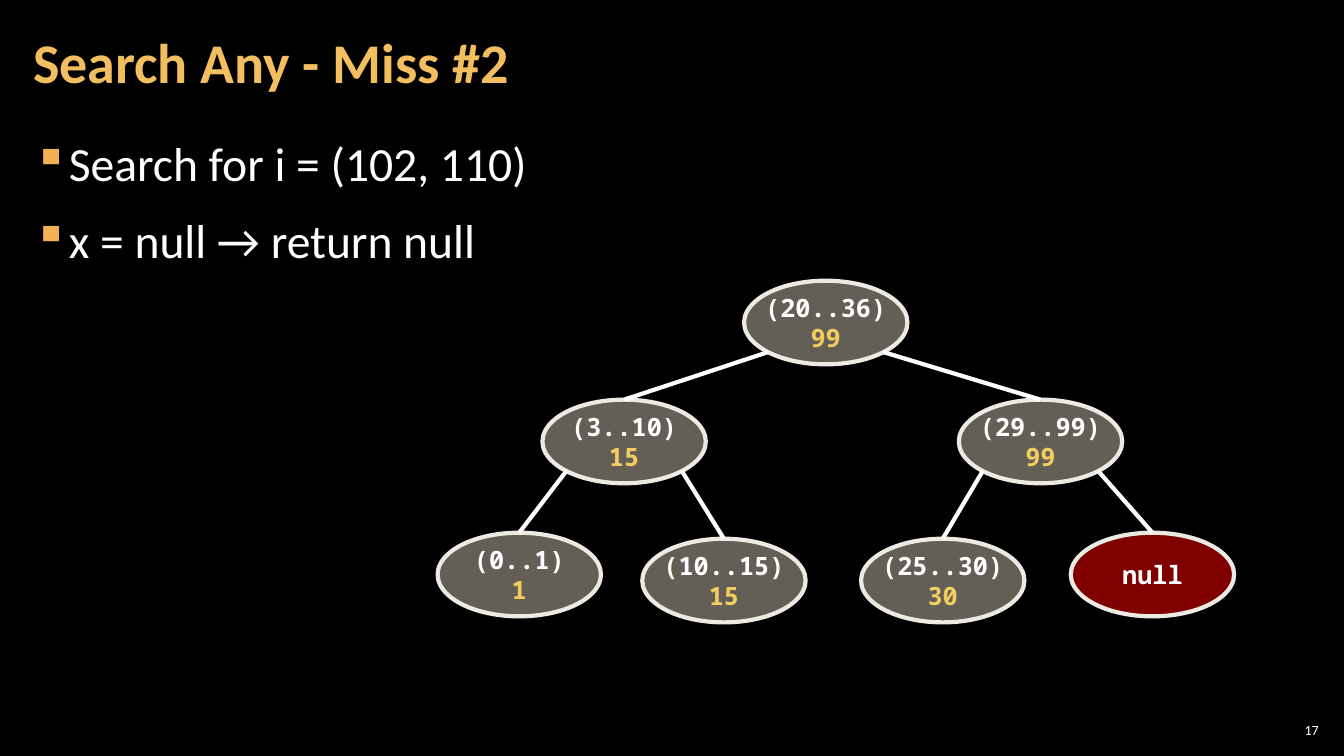
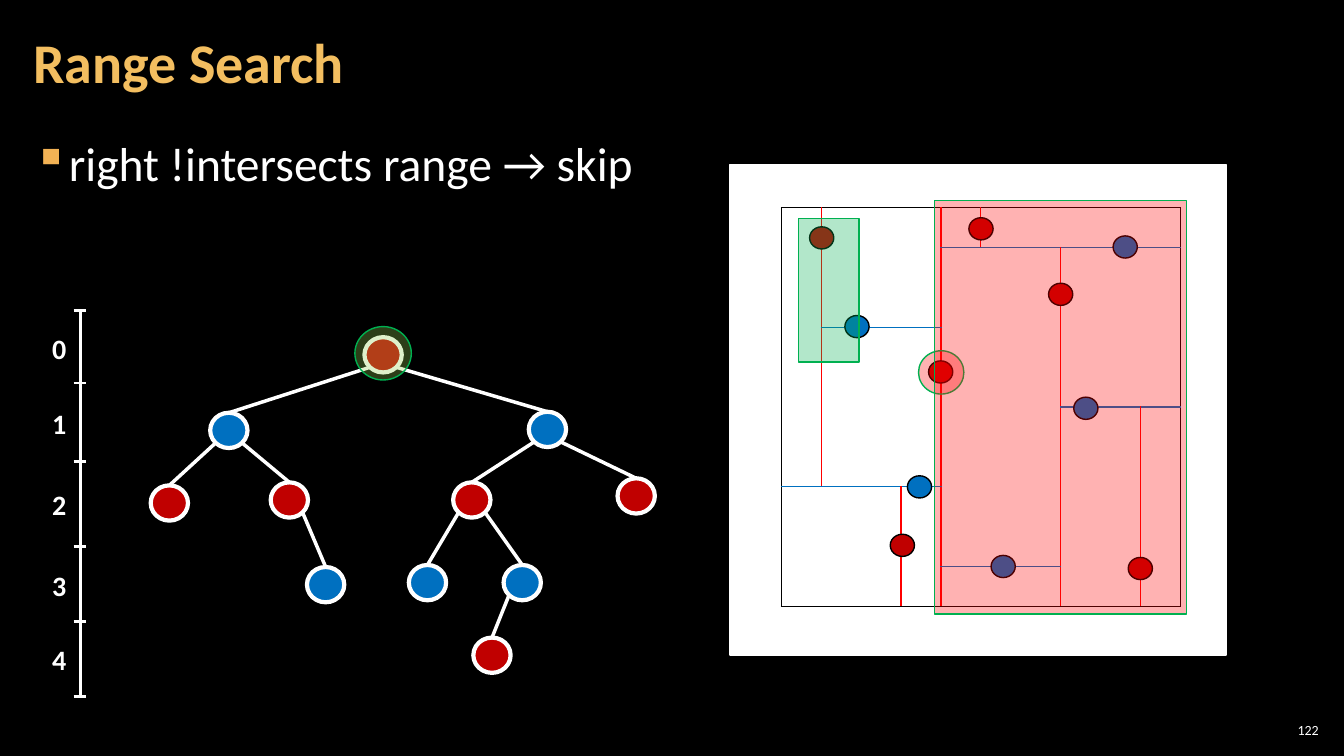
from math import sqrt

from lxml.etree import SubElement
from pptx import Presentation
from pptx.dml.color import RGBColor
from pptx.enum.shapes import MSO_CONNECTOR, MSO_SHAPE
from pptx.enum.text import MSO_ANCHOR, PP_ALIGN
from pptx.oxml.ns import qn
from pptx.util import Inches, Pt

BLACK, WHITE, GOLD, YELLOW, ORANGE = "000000", "FFFFFF", "F3BE60", "F3CD60", "F2B254"
STONE, IVORY, PURE_RED, GREEN, LIME = "C7BFAC", "ECEAE3", "FF0000", "00B050", "92D050"
RED, BLUE = "C00000", "0070C0"
SANS, MONO = "Calibri", "Noto Sans Mono"

MISS_TITLE = "Search Any - Miss #2"
MISS_BULLETS = ["Search for i = (102, 110)", "x = null → return null"]
INTERVAL_SIZE = (1.62, 0.83)
# centre x, centre y, parent, fill, lines
INTERVALS = [
    (8.19, 3.2, None, STONE, ["(20..36)", "99"]),
    (10.32, 4.38, 0, STONE, ["(29..99)", "99"]),
    (6.19, 4.38, 0, STONE, ["(3..10)", "15"]),
    (5.15, 5.7, 2, STONE, ["(0..1)", "1"]),
    (7.18, 5.76, 2, STONE, ["(10..15)", "15"]),
    (9.35, 5.76, 1, STONE, ["(25..30)", "30"]),
    (11.43, 5.7, 1, PURE_RED, ["null"]),
]

RANGE_TITLE = "Range Search"
RANGE_BULLETS = ["right !intersects range → skip"]
KD_SIZE = (0.37, 0.35)
KD_NODES = [
    (3.8, 3.52, None, RED),
    (2.27, 4.27, 0, BLUE),
    (5.43, 4.26, 0, BLUE),
    (1.68, 4.99, 1, RED),
    (2.87, 4.96, 1, RED),
    (4.68, 4.96, 2, RED),
    (6.31, 4.92, 2, RED),
    (3.23, 5.8, 4, BLUE),
    (4.24, 5.78, 5, BLUE),
    (5.18, 5.78, 5, BLUE),
    (4.88, 6.5, 9, RED),
]
LEVEL_TICKS = [3.08, 3.8, 4.58, 5.42, 6.17, 6.91]
LEVEL_LABEL_TOPS = [3.24, 3.98, 4.79, 5.59, 6.33]
GRID_COUNT = 10
GRID_BOX = (7.75, 2.06, 3.96, 3.96)
VERTICAL_SPLITS = [(1, 0, 7), (3, 7, 10), (4, 0, 10), (5, 0, 1), (7, 1, 10), (9, 5, 10)]
HORIZONTAL_SPLITS = [(1, 4, 10), (3, 1, 4), (5, 7, 10), (7, 0, 4), (9, 4, 7)]
POINT_SIZE = (0.24, 0.22)
POINTS = {
    RED: [(9.33, 3.69), (8.15, 2.36), (8.95, 5.41), (10.52, 2.92), (11.31, 5.64), (9.73, 2.27)],
    BLUE: [(9.12, 4.83), (8.5, 3.24), (10.77, 4.05), (11.16, 2.45), (9.95, 5.62)],
}
QUERY_RANGE = (7.92, 2.17, 0.6, 1.42)
HIGHLIGHTS = [
    (MSO_SHAPE.OVAL, (3.52, 3.24, 0.56, 0.53), LIME),
    (MSO_SHAPE.OVAL, (9.11, 3.48, 0.45, 0.43), PURE_RED),
    (MSO_SHAPE.RECTANGLE, (9.27, 1.99, 2.5, 4.1), PURE_RED),
]


def rgb(colour):
    return RGBColor.from_string(colour)


def inches(values):
    return [Inches(value) for value in values]


def centred(x, y, size):
    return x - size[0] / 2, y - size[1] / 2, *size


def style_font(paragraph, size, colour, face=SANS, bold=False):
    font = paragraph.font
    font.size, font.name, font.bold = Pt(size), face, bold
    font.color.rgb = rgb(colour)


def add_text(slide, box, lines, size, colour, bold=False, insets=(0.1, 0.05),
             anchor=MSO_ANCHOR.TOP, align=PP_ALIGN.LEFT, spacing=1.0, bullets=False, wrap=True):
    frame = slide.shapes.add_textbox(*inches(box)).text_frame
    frame.word_wrap, frame.vertical_anchor = wrap, anchor
    frame.margin_left = frame.margin_right = Inches(insets[0])
    frame.margin_top = frame.margin_bottom = Inches(insets[1])
    frame.text = "\n".join(lines)
    for paragraph in frame.paragraphs:
        paragraph.alignment, paragraph.line_spacing = align, spacing
        if bullets:
            add_bullet(paragraph)
        style_font(paragraph, size, colour, bold=bold)


def add_bullet(paragraph):
    paragraph.space_before = paragraph.space_after = Pt(6)
    properties = paragraph._p.get_or_add_pPr()
    properties.set("marL", str(Inches(0.33)))
    properties.set("indent", str(Inches(-0.33)))
    SubElement(SubElement(properties, qn("a:buClr")), qn("a:srgbClr"), val=ORANGE)
    SubElement(properties, qn("a:buChar"), char="▪")


def add_filled(slide, preset, box, fill, line, width=1, opacity=100):
    shape = slide.shapes.add_shape(preset, *inches(box))
    shape.shadow.inherit = False
    shape.fill.solid()
    shape.fill.fore_color.rgb = rgb(fill)
    if opacity < 100:
        colour = shape._element.spPr.find(qn("a:solidFill"))[0]
        SubElement(colour, qn("a:alpha"), val=str(opacity * 1000))
    shape.line.color.rgb = rgb(line)
    shape.line.width = Pt(width)
    return shape


def add_line(slide, start, end, width):
    connector = slide.shapes.add_connector(MSO_CONNECTOR.STRAIGHT, *inches((*start, *end)))
    connector.line.color.rgb = rgb(WHITE)
    connector.line.width = Pt(width)
    SubElement(connector._element.spPr, qn("a:effectLst"))


def add_edges(slide, nodes, size, width):
    reach_x, reach_y = (side / 2 / sqrt(2) for side in size)
    for x, y, parent, *_ in nodes:
        if parent is not None:
            parent_x, parent_y = nodes[parent][:2]
            side = 1 if x > parent_x else -1
            add_line(slide, (parent_x + side * reach_x, parent_y + reach_y),
                     (x, y - size[1] / 2), width)


def add_base(deck, title, bullets, number):
    slide = deck.slides.add_slide(deck.slide_layouts[6])
    slide.background.fill.solid()
    slide.background.fill.fore_color.rgb = rgb(BLACK)
    add_text(slide, (12.65, 7.14, 0.47, 0.21), [number], 10, WHITE, insets=(0.04, 0.04),
             anchor=MSO_ANCHOR.MIDDLE, align=PP_ALIGN.RIGHT)
    add_text(slide, (0.21, 0.04, 10.47, 1.21), [title], 40, GOLD, bold=True,
             insets=(0.12, 0.04), anchor=MSO_ANCHOR.MIDDLE, spacing=0.9)
    add_text(slide, (0.21, 1.26, 12.91, 6.09), bullets, 34, WHITE, insets=(0.12, 0.04),
             spacing=1.05, bullets=True)
    return slide


def add_grid(slide):
    table = slide.shapes.add_table(GRID_COUNT, GRID_COUNT, *inches(GRID_BOX)).table
    table.first_row = table.horz_banding = False
    borders = {}
    for k in range(GRID_COUNT):
        for edge in (0, GRID_COUNT):
            borders["v", edge, k] = borders["h", edge, k] = BLACK
    for axis, splits, colour in (("v", VERTICAL_SPLITS, PURE_RED), ("h", HORIZONTAL_SPLITS, BLUE)):
        for edge, first, last in splits:
            borders.update({(axis, edge, k): colour for k in range(first, last)})
    for row in range(GRID_COUNT):
        for column in range(GRID_COUNT):
            cell = table.cell(row, column)
            cell.margin_left = cell.margin_right = cell.margin_top = cell.margin_bottom = 0
            sides = {"L": ("v", column, row), "R": ("v", column + 1, row),
                     "T": ("h", row, column), "B": ("h", row + 1, column)}
            for side, key in sides.items():
                border = SubElement(cell._tc.get_or_add_tcPr(), qn(f"a:ln{side}"), w=str(Pt(1)))
                if key in borders:
                    SubElement(SubElement(border, qn("a:solidFill")), qn("a:srgbClr"),
                               val=borders[key])
                else:
                    SubElement(border, qn("a:noFill"))
            cell.fill.background()


def build_miss(deck):
    slide = add_base(deck, MISS_TITLE, MISS_BULLETS, "17")
    for x, y, _, fill, lines in INTERVALS:
        node = add_filled(slide, MSO_SHAPE.OVAL, centred(x, y, INTERVAL_SIZE), fill, IVORY, 3, 50)
        frame = node.text_frame
        frame.word_wrap, frame.vertical_anchor = False, MSO_ANCHOR.MIDDLE
        frame.text = "\n".join(lines)
        for paragraph, colour in zip(frame.paragraphs, (WHITE, YELLOW)):
            paragraph.alignment = PP_ALIGN.CENTER
            style_font(paragraph, 18, colour, MONO, True)
    add_edges(slide, INTERVALS, INTERVAL_SIZE, 3)


def build_range(deck):
    slide = add_base(deck, RANGE_TITLE, RANGE_BULLETS, "122")
    add_filled(slide, MSO_SHAPE.RECTANGLE, (7.24, 1.63, 4.92, 4.87), WHITE, WHITE)
    add_edges(slide, KD_NODES, KD_SIZE, 2.5)
    for x, y, _, fill in KD_NODES:
        add_filled(slide, MSO_SHAPE.OVAL, centred(x, y, KD_SIZE), fill, WHITE, 3)
    add_grid(slide)
    for fill, centres in POINTS.items():
        for x, y in centres:
            add_filled(slide, MSO_SHAPE.OVAL, centred(x, y, POINT_SIZE), fill, BLACK)
    add_line(slide, (0.8, LEVEL_TICKS[0]), (0.8, LEVEL_TICKS[-1]), 2)
    for y in LEVEL_TICKS:
        add_line(slide, (0.73, y), (0.85, y), 2)
    for level, top in enumerate(LEVEL_LABEL_TOPS):
        add_text(slide, (0.42, top, 0.34, 0.44), [str(level)], 20, WHITE, bold=True, wrap=False)
    add_filled(slide, MSO_SHAPE.RECTANGLE, QUERY_RANGE, GREEN, GREEN, opacity=30)
    for preset, box, fill in HIGHLIGHTS:
        add_filled(slide, preset, box, fill, GREEN, opacity=30)


def main():
    """Build the two search slides and save them."""
    deck = Presentation()
    deck.slide_width, deck.slide_height = Inches(13.33), Inches(7.5)
    build_miss(deck)
    build_range(deck)
    deck.save("out.pptx")


if __name__ == "__main__":
    main()
